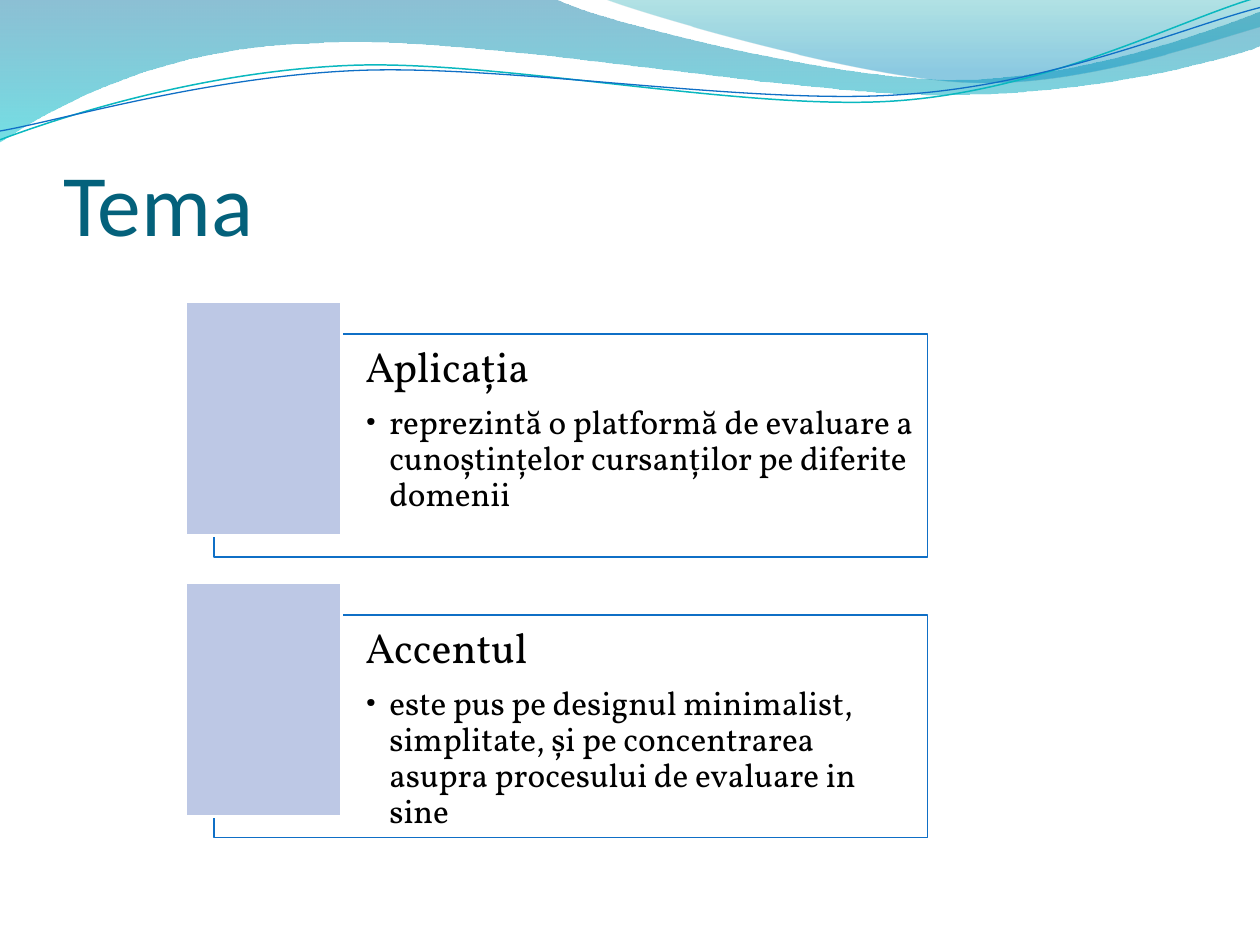
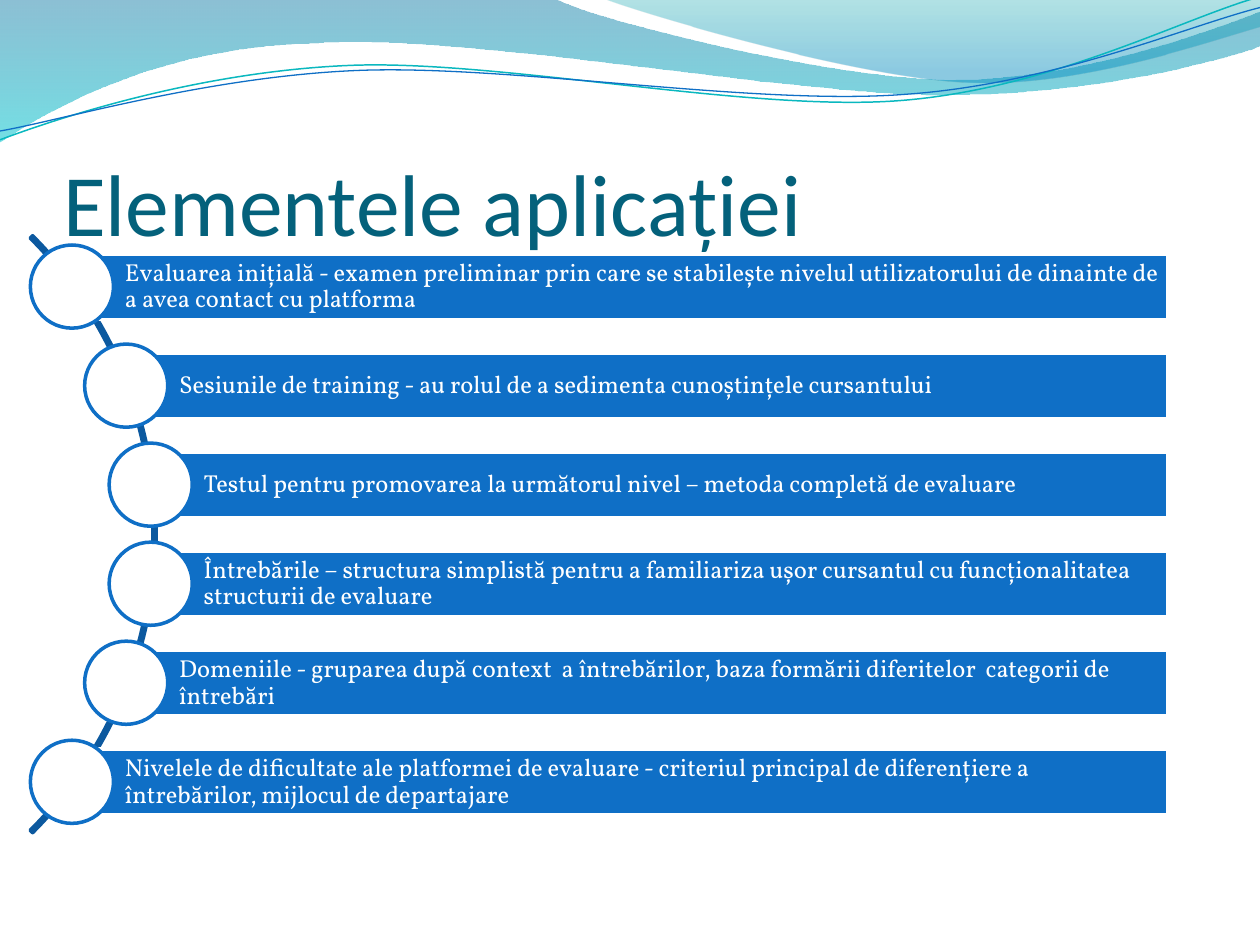
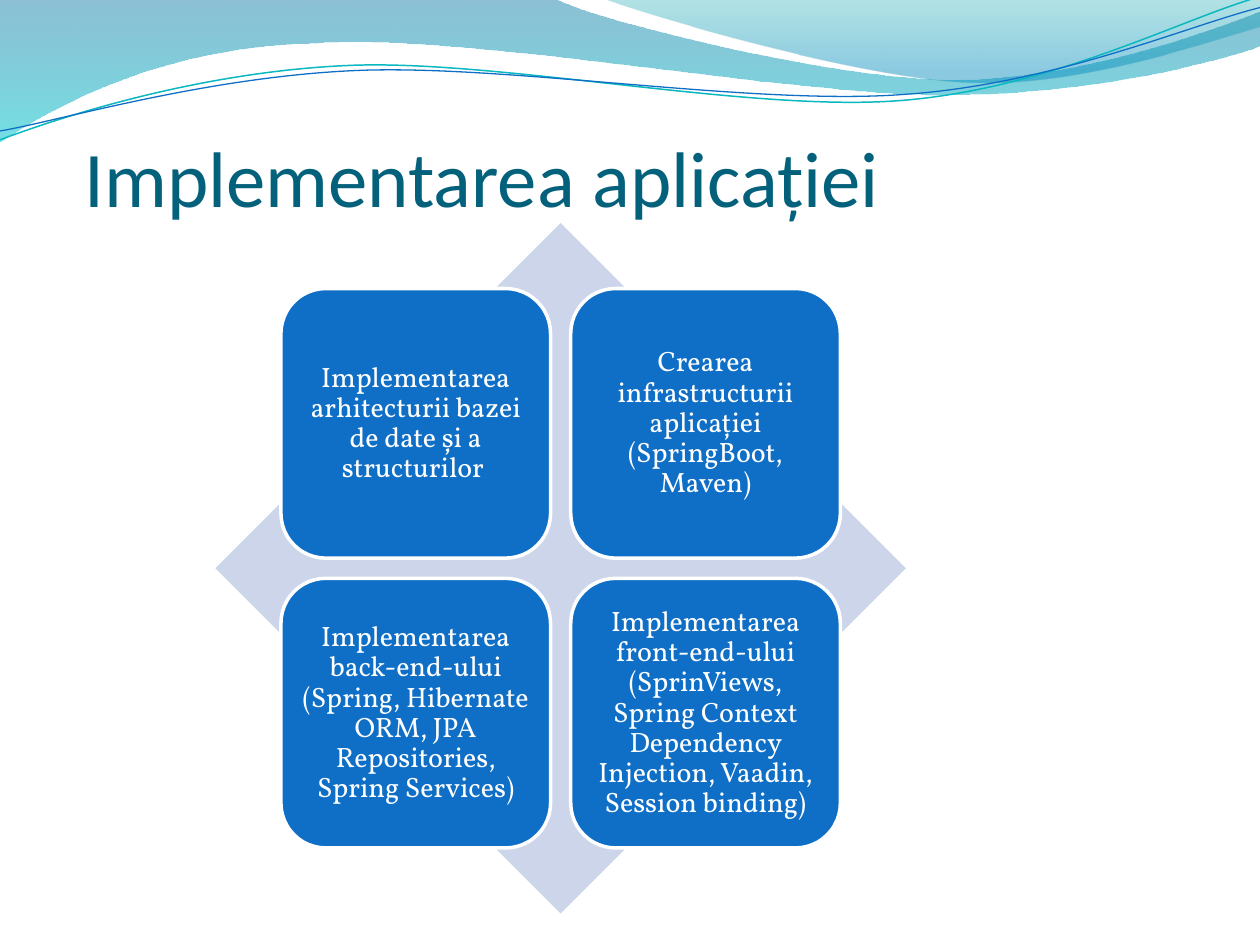
from math import sqrt
from lxml import etree
from pptx import Presentation
from pptx.dml.color import RGBColor
from pptx.enum.shapes import MSO_SHAPE
from pptx.enum.text import MSO_ANCHOR, MSO_AUTO_SIZE, PP_ALIGN
from pptx.oxml.ns import qn
from pptx.util import Inches, Pt

RECT, OVAL, DIAMOND = MSO_SHAPE.RECTANGLE, MSO_SHAPE.OVAL, MSO_SHAPE.DIAMOND
ROUNDED, ARC = MSO_SHAPE.ROUNDED_RECTANGLE, MSO_SHAPE.BLOCK_ARC
TOP, MIDDLE, BOTTOM = MSO_ANCHOR.TOP, MSO_ANCHOR.MIDDLE, MSO_ANCHOR.BOTTOM
LEFT, CENTER = PP_ALIGN.LEFT, PP_ALIGN.CENTER

THEME = {
    "blue": "0F6FC6", "teal": "0AB8BF", "navy": "0C599F", "title": "04617B",
    "tile": "BDC8E5", "diamond": "CCD5EA", "white": "FFFFFF", "black": "000000",
    "head_font": "Calibri", "body_font": "Vollkorn",
    "title_size": 50, "title_small": 45, "head_size": 24, "bullet_size": 19,
    "bar_size": 14, "card_size": 16, "outline": 2, "thin": 0.8,
}

WAVES = [
    {"start": (0, 0), "close": True,
     "stops": [(0, "0074A1", 45), (1, "00C6CF", 55)],
     "path": [[(4.4, -0.01)],
              [(4.76, 0.17), (6.64, 0.63), (7.58, 0.63)],
              [(8.53, 0.63), (9.58, 0.26), (10, 0.09)],
              [(10.01, 0.36)],
              [(9.83, 0.44), (8.7, 0.76), (7.46, 0.75)],
              [(6.22, 0.75), (3.82, 0.28), (2.57, 0.34)],
              [(1.29, 0.36), (0.46, 0.83), (-0.01, 1.13)]]},
    {"start": (4.79, -0.01), "close": True,
     "stops": [(0, "00A1A9", 30), (0.8, "008BBF", 45)],
     "path": [[(5.09, 0.11), (6.82, 0.62), (7.69, 0.65)],
              [(8.56, 0.69), (9.61, 0.32), (10, 0.21)],
              [(10, 0)]]},
    {"start": (0, 1.11), "close": False, "line": ("teal", 0.85),
     "path": [[(0.48, 0.93), (1.58, 0.57), (2.77, 0.52)],
              [(3.95, 0.47), (5.93, 0.89), (7.13, 0.8)],
              [(8.33, 0.71), (9.38, 0.15), (9.98, -0.02)]]},
    {"start": (0, 1.04), "close": False, "line": ("blue", 0.75),
     "path": [[(0.47, 0.96), (1.64, 0.61), (2.83, 0.56)],
              [(4.03, 0.51), (5.97, 0.84), (7.17, 0.75)],
              [(8.36, 0.67), (9.41, 0.21), (10, 0.06)]]},
]

TOPICS = [
    ("Aplicația", "reprezintă o platformă de evaluare a cunoștințelor cursanților "
                  "pe diferite domenii"),
    ("Accentul", "este pus pe designul minimalist, simplitate, și pe concentrarea "
                 "asupra procesului de evaluare in sine"),
]
ELEMENTS = [
    "Evaluarea inițială - examen preliminar prin care se stabilește nivelul "
    "utilizatorului de dinainte de a avea contact cu platforma",
    "Sesiunile de training - au rolul de a sedimenta cunoștințele cursantului",
    "Testul pentru promovarea la următorul nivel – metoda completă de evaluare ",
    "Întrebările – structura simplistă pentru a familiariza ușor cursantul cu "
    "funcționalitatea structurii de evaluare",
    "Domeniile - gruparea după context  a întrebărilor, baza formării diferitelor  "
    "categorii de întrebări",
    "Nivelele de dificultate ale platformei de evaluare - criteriul principal de "
    "diferențiere a întrebărilor, mijlocul de departajare ",
]
STEPS = [
    "Implementarea arhitecturii bazei de date și a structurilor ",
    "Crearea infrastructurii aplicației (SpringBoot, Maven)",
    "Implementarea back-end-ului (Spring, Hibernate ORM, JPA Repositories, "
    "Spring Services)",
    "Implementarea front-end-ului (SprinViews, Spring Context Dependency "
    "Injection, Vaadin, Session binding)",
]


def rgb(name):
    return RGBColor.from_string(THEME.get(name, name))


def set_alpha(color_parent, percent):
    color = next(color_parent.iter(qn("a:srgbClr")))
    etree.SubElement(color, qn("a:alpha")).set("val", str(percent * 1000))


def set_line(shape, color, width):
    shape.line.color.rgb = rgb(color)
    shape.line.width = Pt(width)


def add_shape(s, kind, box, fill=None, line=None, width=THEME["outline"]):
    sp = s.shapes.add_shape(kind, *map(Inches, box))
    sp.shadow.inherit = False
    if fill:
        sp.fill.solid()
        sp.fill.fore_color.rgb = rgb(fill)
    else:
        sp.fill.background()
    if line:
        set_line(sp, line, width)
    else:
        sp.line.fill.background()
    return sp


def set_frame(sp, insets, anchor):
    tf = sp.text_frame
    sides = ("margin_left", "margin_top", "margin_right", "margin_bottom")
    values = dict(zip(sides, map(Inches, insets)), word_wrap=True,
                  auto_size=MSO_AUTO_SIZE.NONE, vertical_anchor=anchor)
    for key, value in values.items():
        setattr(tf, key, value)
    return tf


def write(p, text, size, color, font=THEME["body_font"], align=LEFT, after=0.33, spacing=0.9):
    for key, value in {"alignment": align, "line_spacing": spacing,
                       "space_before": Pt(0), "space_after": Pt(size * after)}.items():
        setattr(p, key, value)
    r = p.add_run()
    r.text = text
    for key, value in {"size": Pt(size), "name": font, "bold": False}.items():
        setattr(r.font, key, value)
    r.font.color.rgb = rgb(color)


def add_bullet(p, indent):
    p.level = 1
    pPr = p._p.get_or_add_pPr()
    pPr.set("marL", str(Inches(indent)))
    pPr.set("indent", str(-Inches(indent)))
    etree.SubElement(pPr, qn("a:buFont")).set("typeface", THEME["body_font"])
    etree.SubElement(pPr, qn("a:buChar")).set("char", "•")


def build_curve(s, wave):
    points = [tuple(map(Inches, pt)) for segment in wave["path"] for pt in segment]
    builder = s.shapes.build_freeform(*map(Inches, wave["start"]))
    builder.add_line_segments(points, close=wave["close"])
    sp = builder.convert_to_shape()
    lines = iter(list(sp.element.iter(qn("a:lnTo"))))
    for segment in wave["path"]:
        group = [next(lines) for _ in segment]
        if len(group) == 3:
            group[0].tag = qn("a:cubicBezTo")
            for line in group[1:]:
                group[0].append(line[0])
                line.getparent().remove(line)
    return sp


def add_waves(s, layout):
    for i, wave in enumerate(WAVES):
        sp = build_curve(s, wave)
        sp.shadow.inherit = False
        if wave["close"]:
            sp.line.fill.background()
            sp.fill.gradient()
            sp.fill.gradient_angle = 270
            stops = sp.element.spPr.iter(qn("a:gs"))
            for stop, gs, (place, color, alpha) in zip(sp.fill.gradient_stops, stops,
                                                       wave["stops"]):
                stop.position = place
                stop.color.rgb = rgb(color)
                set_alpha(gs, alpha)
        else:
            sp.fill.background()
            set_line(sp, *wave["line"])
        sp.element.xpath(".//p:cNvPr")[0].set("id", str(100 + i))
        layout.shapes.element.insert(2 + i, sp.element)


def add_slide(title, box=(0.5, 0.77, 9, 1.25), size=THEME["title_size"]):
    s = prs.slides.add_slide(title_only)
    sp = s.shapes.title
    sp.left, sp.top, sp.width, sp.height = map(Inches, box)
    tf = set_frame(sp, (0, 0.05, 0, 0), BOTTOM)
    write(tf.paragraphs[0], title, size, "title", THEME["head_font"], after=0, spacing=1.0)
    return s


def add_topics(s, top=2.65, pitch=2.23):
    for i, (heading, detail) in enumerate(TOPICS):
        y = top + i * pitch
        panel = add_shape(s, RECT, (1.7, y, 5.66, 1.77), "white", "blue", THEME["thin"])
        set_alpha(panel.element.spPr, 40)
        tf = set_frame(panel, (1.2, 0.1, 0.1, 0.1), TOP)
        write(tf.paragraphs[0], heading, THEME["head_size"], "black")
        p = tf.add_paragraph()
        write(p, detail, THEME["bullet_size"], "black", after=0.15)
        add_bullet(p, 0.19)
        add_shape(s, RECT, (1.47, y - 0.26, 1.24, 1.86), "tile", "white")


def add_elements(s, center=(-2.08, 4.24), radius=3.3, pitch=0.786):
    arc = add_shape(s, ARC, (-5.46, 0.89, 6.7, 6.7), line="navy")
    for i, value in enumerate((189, 27, 0.004)):
        arc.adjustments[i] = value
    right, height, dot = 9.27, 0.52, 0.66
    for i, text in enumerate(ELEMENTS):
        dy = (i - (len(ELEMENTS) - 1) / 2) * pitch
        x, y = center[0] + sqrt(radius ** 2 - dy ** 2), center[1] + dy
        bar = add_shape(s, RECT, (x, y - height / 2, right - x, height), "blue", "white")
        tf = set_frame(bar, (0.42, 0.04, 0.04, 0.04), MIDDLE)
        write(tf.paragraphs[0], text, THEME["bar_size"], "white")
        add_shape(s, OVAL, (x - dot / 2, y - dot / 2, dot, dot), "white", "blue")


def add_steps(s, left=2.23, top=2.29, side=2.14, pitch=2.3):
    add_shape(s, DIAMOND, (1.71, 1.77, 5.48, 5.48), "diamond")
    for i, text in enumerate(STEPS):
        row, col = divmod(i, 2)
        box = (left + col * pitch, top + row * pitch, side, side)
        card = add_shape(s, ROUNDED, box, "blue", "white")
        tf = set_frame(card, (0.06, 0.07, 0.06, 0.07), MIDDLE)
        write(tf.paragraphs[0], text, THEME["card_size"], "white", align=CENTER)


prs = Presentation()
prs.slide_width, prs.slide_height = Inches(10), Inches(7.5)
title_only = prs.slide_layouts[5]

s = add_slide("Tema")
add_waves(s, title_only)
add_topics(s)
add_elements(add_slide("Elementele aplicației"))
add_steps(add_slide("Implementarea aplicației", (0.67, 1, 9, 0.77), THEME["title_small"]))

prs.save("out.pptx")
